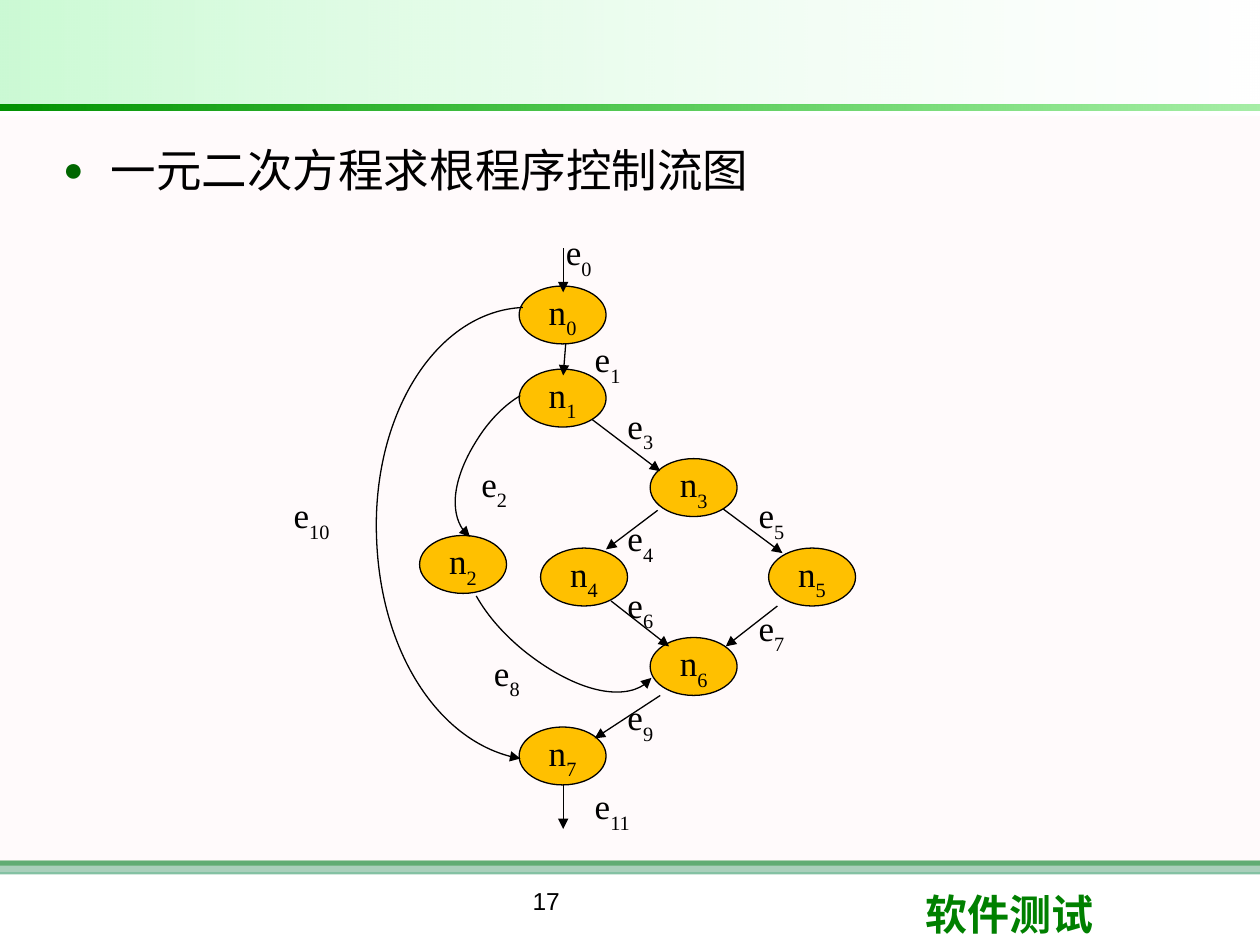
import pptx
import pptx.dml.color
import pptx.enum.shapes
import pptx.enum.text
import pptx.oxml
import pptx.oxml.ns
import pptx.util

PX = 9144  # EMU per px: 100 px to the inch
SERIF = "Times New Roman"
SHAPE = pptx.enum.shapes.MSO_SHAPE
ALIGN = pptx.enum.text.PP_ALIGN
MIDDLE = pptx.enum.text.MSO_ANCHOR.MIDDLE
qn = pptx.oxml.ns.qn


def px(*values):
    return [pptx.util.Emu(v * PX) for v in values]


def rgb(color):
    return pptx.dml.color.RGBColor.from_string(color)


def add_xml(parent, tag, **attrs):
    child = parent.makeelement(qn(tag), attrs)
    parent.append(child)
    return child


def set_alpha(sp, *percents):
    colors = sp._element.spPr.iter(qn("a:srgbClr"))
    for color, percent in zip(colors, percents):
        add_xml(color, "a:alpha", val=str(percent * 1000))


def format_paragraph(p, size, font, color="000000", bold=False, align=None):
    p.alignment = align
    p.font.size = pptx.util.Pt(size)
    p.font.bold = bold
    p.font.name = font
    p.font.color.rgb = rgb(color)
    add_xml(p.font._element, "a:ea", typeface=font)


def add_text(slide, box, text, *style, **options):
    sp = slide.shapes.add_textbox(*px(*box))
    sp.text_frame.word_wrap = True
    p = sp.text_frame.paragraphs[0]
    p.add_run().text = text
    format_paragraph(p, *style, **options)


def add_indexed(tf, name, align):
    """Write a letter followed by its subscript index."""
    tf.margin_left = tf.margin_top = tf.margin_right = tf.margin_bottom = 0
    tf.word_wrap = True
    p = tf.paragraphs[0]
    p.add_run().text = name[0]
    r = p.add_run()
    r.text = name[1:]
    r._r.get_or_add_rPr().set("baseline", "-30000")
    format_paragraph(p, 20, SERIF, align=align)


def add_band(slide, box, colors, alphas=()):
    sp = slide.shapes.add_shape(SHAPE.RECTANGLE, *px(*box))
    sp.shadow.inherit = False
    sp.line.fill.background()
    if len(colors) == 1:
        sp.fill.solid()
        sp.fill.fore_color.rgb = rgb(colors[0])
    else:
        sp.fill.gradient()
        sp.fill.gradient_angle = 0
        for stop, color in zip(sp.fill.gradient_stops, colors):
            stop.color.rgb = rgb(color)
    set_alpha(sp, *alphas)


def add_frame(slide, width):
    add_band(slide, (0, 683, width, 4), ["008000"])
    add_band(slide, (0, 683, width, 11), ["339966"], [60])
    add_band(slide, (0, 92, width, 600), ["FFF0F5"], [30])
    add_band(slide, (0, 0, width, 83), ["09E733", "FFFFFF"], [21, 10])
    add_band(slide, (0, 83, width, 5), ["009200", "00CC00"], [100, 35])
    add_text(slide, (725, 700, 237, 50), "软件测试", 24, "Arial", "008000", bold=True)
    add_text(slide, (275, 698, 317, 52), "17", 14, "Arial", align=ALIGN.CENTER)


def add_bullet(sp, box, text):
    sp.left, sp.top, sp.width, sp.height = px(*box)
    p = sp.text_frame.paragraphs[0]
    p.add_run().text = text
    pPr = p._p.get_or_add_pPr()
    pPr.set("marL", str(39 * PX))
    pPr.set("indent", str(-38 * PX))
    p.space_before = pptx.util.Pt(0)
    p.space_after = pptx.util.Pt(6)
    add_xml(add_xml(pPr, "a:buClr"), "a:srgbClr", val="006600")
    add_xml(pPr, "a:buSzPct", val="75000")
    add_xml(pPr, "a:buChar", char="●")
    format_paragraph(p, 26, "Noto Sans CJK SC")


def style_line(sp):
    sp.line.color.rgb = rgb("000000")
    sp.line.width = pptx.util.Pt(0.75)


def add_curve(slide, points):
    """Join points, three to a segment after the first, by Bézier curves."""
    points = [px(*point) for point in points]
    builder = slide.shapes.build_freeform(*points[0], scale=1.0)
    builder.add_line_segments(points[1:], close=False)
    sp = builder.convert_to_shape()
    lines = list(sp._element.iter(qn("a:lnTo")))
    outline = lines[0].getparent()
    for i in range(0, len(lines), 3):
        curve = add_xml(outline, "a:cubicBezTo")
        for line in lines[i:i + 3]:
            curve.append(line[0])
            outline.remove(line)
    sp.fill.background()
    sp.shadow.inherit = False
    return sp


def add_edge(slide, points):
    if len(points) == 2:
        straight = pptx.enum.shapes.MSO_CONNECTOR.STRAIGHT
        sp = slide.shapes.add_connector(straight, *px(*points[0], *points[1]))
    else:
        sp = add_curve(slide, points)
    style_line(sp)
    add_xml(sp.line._get_or_add_ln(), "a:tailEnd", type="triangle")
    if len(points) == 2:
        add_xml(sp._element.spPr, "a:effectLst")


def add_node(slide, x, y, name):
    sp = slide.shapes.add_shape(SHAPE.OVAL, *px(x, y, 69, 46))
    sp.shadow.inherit = False
    sp.fill.solid()
    sp.fill.fore_color.rgb = rgb("FFC000")
    style_line(sp)
    sp.text_frame.vertical_anchor = MIDDLE
    add_indexed(sp.text_frame, name, ALIGN.CENTER)


def add_flow_graph(slide, left, top):
    rows = [110 + 71 * i for i in range(5)]
    nodes = [(179, 44), (179, rows[0]), (100, 242), (283, rows[1]),
             (196, rows[2]), (377, rows[2]), (283, rows[3]), (179, rows[4])]
    # Each edge: label position, then its points
    edges = [
        ((216, 0), (214, 14), (214, 49)),
        ((239, 85), (216, 90), (214, 115)),
        ((149, 184), (180, 131), (168, 138), (156, 150), (147, 164),
         (126, 196), (123, 231), (140, 243)),
        ((265, 138), (237, 150), (291, 191)),
        ((265, 227), (289, 222), (248, 253)),
        ((369, 209), (341, 221), (388, 256)),
        ((265, 280), (252, 294), (298, 330)),
        ((369, 298), (384, 298), (343, 330)),
        ((159, 334), (145, 290), (154, 306), (168, 322), (186, 336),
         (225, 366), (269, 375), (284, 355)),
        ((265, 369), (291, 369), (239, 403)),
        ((0, 209), (182, 61), (113, 64), (61, 147), (66, 247),
         (70, 336), (119, 409), (180, 419)),
        ((239, 440), (214, 440), (214, 475)),
    ]
    for i, (x, y) in enumerate(nodes):
        add_node(slide, left + x, top + y, f"n{i}")
    for i, edge in enumerate(edges):
        label, *points = [(left + x, top + y) for x, y in edge]
        add_edge(slide, points)
        sp = slide.shapes.add_textbox(*px(*label, 52, 36))
        add_indexed(sp.text_frame, f"e{i}", ALIGN.LEFT)


def main():
    prs = pptx.Presentation()
    prs.slide_width, prs.slide_height = px(1000, 750)
    slide = prs.slides.add_slide(prs.slide_layouts[1])
    title = slide.shapes.title._element
    title.getparent().remove(title)
    add_frame(slide, 1000)
    # Bring the body text in front of the frame
    body = slide.placeholders[1]
    slide.shapes._spTree.append(body._element)
    add_bullet(body, (39, 108, 936, 558), "一元二次方程求根程序控制流图")
    add_flow_graph(slide, 233, 183)
    prs.save("out.pptx")


if __name__ == "__main__":
    main()
